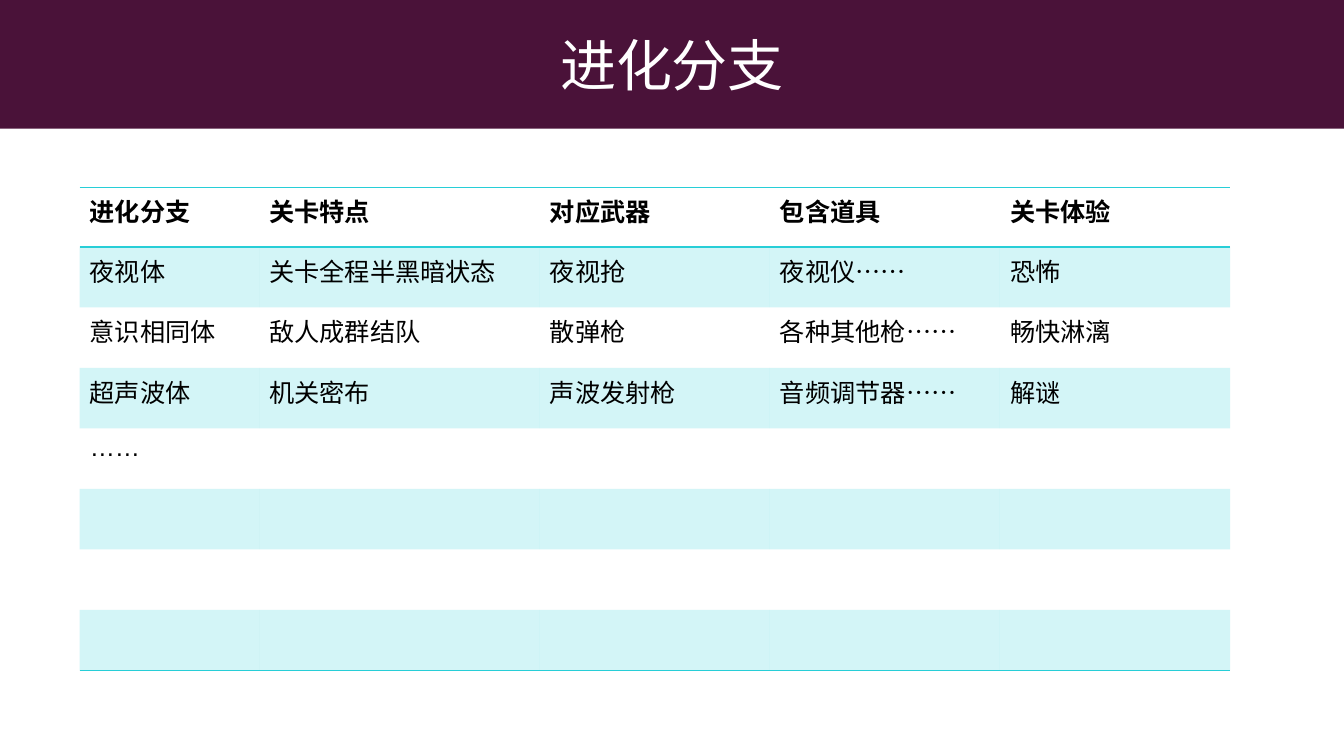
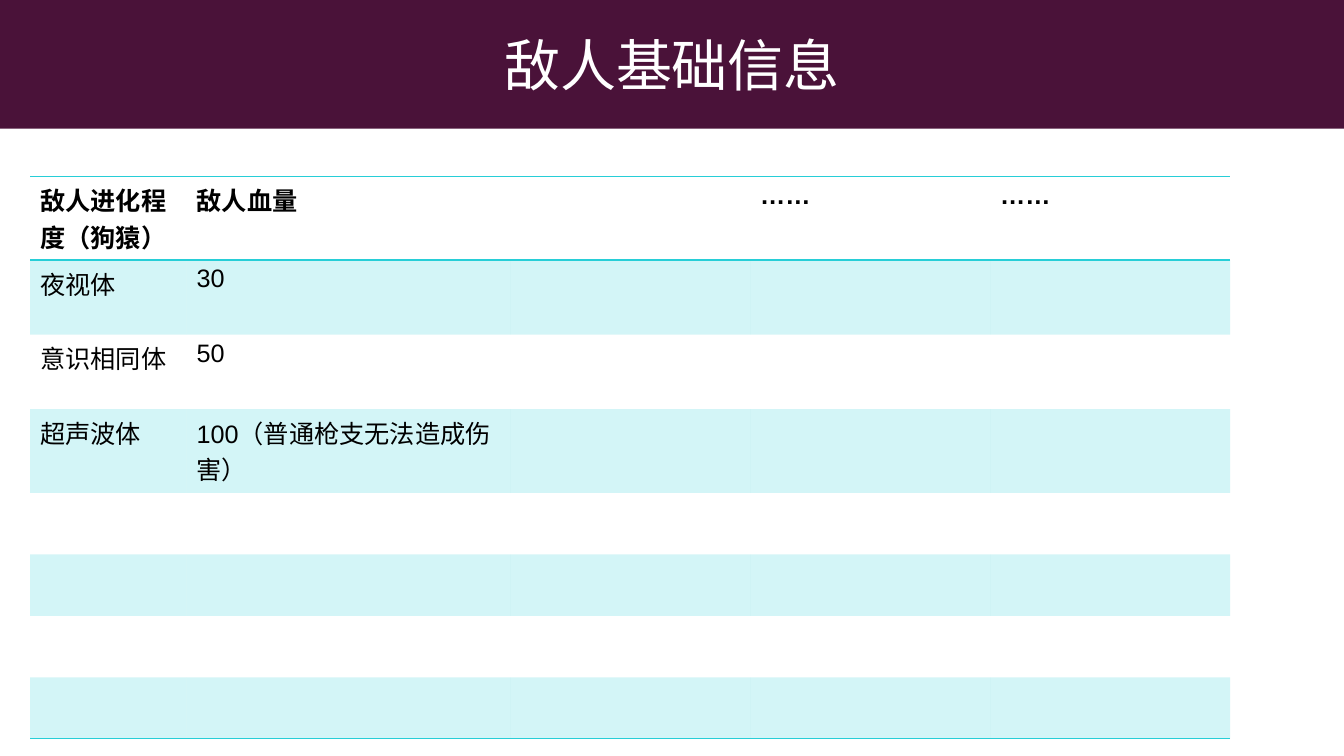
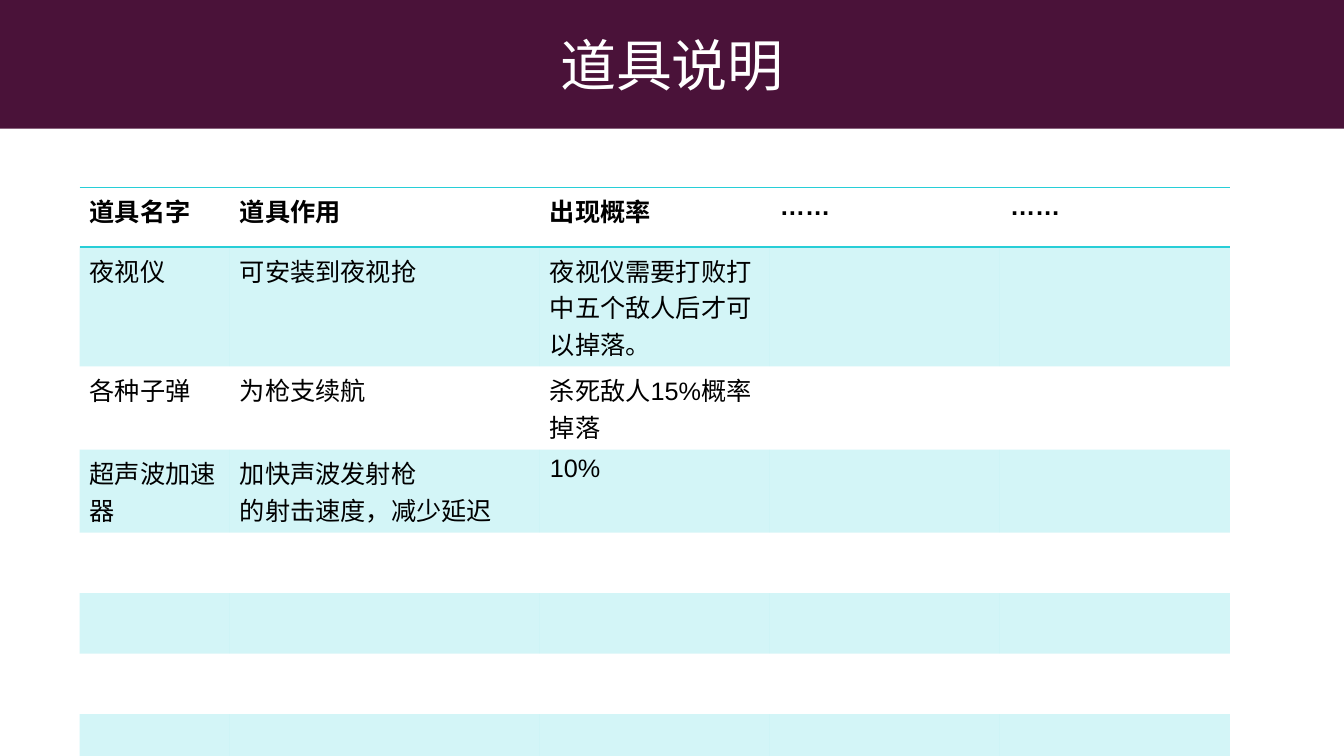
"""Builds three game design slides, each a title band above a striped table."""
from lxml import etree
from pptx import Presentation
from pptx.dml.color import RGBColor
from pptx.enum.text import MSO_ANCHOR, MSO_AUTO_SIZE, PP_ALIGN
from pptx.oxml.ns import qn
from pptx.util import Inches, Pt

CENTER = PP_ALIGN.CENTER
LEFT = PP_ALIGN.LEFT
MIDDLE = MSO_ANCHOR.MIDDLE
NO_AUTOFIT = MSO_AUTO_SIZE.NONE

COLORS = {"band": "4A1239", "accent": "27CED7", "text": "000000", "title": "FFFFFF"}
FONT = "Arial"
SLIDE_WIDTH, SLIDE_HEIGHT = 13.33, 7.5
BAND_HEIGHT = 0.17 * SLIDE_HEIGHT
TABLE_RIGHT = 12.2
COLUMN_COUNT, ROW_COUNT = 5, 8
STRIPE_OPACITY = 20
PLAIN_TABLE_STYLE = "{2D5ABB26-0587-4C30-8999-92F81FD0307C}"
TITLE_ONLY_LAYOUT = 5

TABLES = [
    {
        "title": "进化分支",
        "left": 0.79, "top": 1.86, "first_column": 1.78,
        "heights": [0.59] + [0.6] * 7,
        "rows": [
            ["进化分支", "关卡特点", "对应武器", "包含道具", "关卡体验"],
            ["夜视体", "关卡全程半黑暗状态", "夜视抢", "夜视仪……", "恐怖"],
            ["意识相同体", "敌人成群结队", "散弹枪", "各种其他枪……", "畅快淋漓"],
            ["超声波体", "机关密布", "声波发射枪", "音频调节器……", "解谜"],
            ["……"],
        ],
    },
    {
        "title": "敌人基础信息",
        "left": 0.3, "top": 1.75, "first_column": 1.55,
        "heights": [0.83, 0.74, 0.74, 0.83] + [0.61] * 4,
        "rows": [
            ["敌人进化程度（狗猿）", "敌人血量", "", "……", "……"],
            ["夜视体", "30"],
            ["意识相同体", "50"],
            ["超声波体", "100（普通枪支无法造成伤害）"],
        ],
    },
    {
        "title": "道具说明",
        "left": 0.79, "top": 1.86, "first_column": 1.49,
        "heights": [0.59] + [0.6] * 7,
        "rows": [
            ["道具名字", "道具作用", "出现概率", "……", "……"],
            ["夜视仪", "可安装到夜视抢", "夜视仪需要打败打中五个敌人后才可以掉落。"],
            ["各种子弹", "为枪支续航", "杀死敌人15%概率掉落"],
            ["超声波加速器", "加快声波发射枪\n的射击速度，减少延迟", "10%"],
        ],
    },
]


def rgb(name):
    """Return the named palette colour."""
    return RGBColor.from_string(COLORS[name])


def write_text(text_frame, text, size=18, color="text", bold=False, align=LEFT):
    """Write text, one paragraph a line, in the given format."""
    text_frame.text = text
    for paragraph in text_frame.paragraphs:
        paragraph.alignment = align
        for run in paragraph.runs:
            run.font.name = FONT
            run.font.size = Pt(size)
            run.font.bold = bold
            run.font.color.rgb = rgb(color)


def add_title(slide, text):
    """Turn the title placeholder into the full-width band."""
    title = slide.shapes.title
    title.left = title.top = 0
    title.width, title.height = Inches(SLIDE_WIDTH), Inches(BAND_HEIGHT)
    title.fill.solid()
    title.fill.fore_color.rgb = rgb("band")
    write_text(title.text_frame, text, size=40, color="title", align=CENTER)
    title.text_frame.vertical_anchor = MIDDLE
    title.text_frame.auto_size = NO_AUTOFIT


def fill_cell(cell, striped):
    """Give a cell the translucent stripe or no fill."""
    if not striped:
        cell.fill.background()
        return
    cell.fill.solid()
    cell.fill.fore_color.rgb = rgb("accent")
    color = cell._tc.tcPr.find(".//" + qn("a:srgbClr"))
    etree.SubElement(color, qn("a:alpha"), val=str(STRIPE_OPACITY * 1000))


def add_borders(cell, edges):
    """Draw accent lines on the listed cell edges, top before bottom."""
    properties = cell._tc.get_or_add_tcPr()
    for position, edge in enumerate(edges):
        line = etree.Element(qn("a:" + edge), w=str(Pt(1)))
        fill = etree.SubElement(line, qn("a:solidFill"))
        etree.SubElement(fill, qn("a:srgbClr"), val=COLORS["accent"])
        properties.insert(position, line)


def add_striped_table(slide, left, top, first_column, heights, rows):
    """Add a table whose last three columns are a fifth of its width each."""
    width = TABLE_RIGHT - left
    fifth = width / COLUMN_COUNT
    widths = [first_column, 2 * fifth - first_column] + [fifth] * 3
    table = slide.shapes.add_table(
        ROW_COUNT, COLUMN_COUNT, Inches(left), Inches(top),
        Inches(width), Inches(sum(heights))).table
    table.first_row = table.horz_banding = False
    table._tbl.tblPr.find(qn("a:tableStyleId")).text = PLAIN_TABLE_STYLE
    for column, column_width in zip(table.columns, widths):
        column.width = Inches(column_width)
    edges = {0: ["lnT", "lnB"], ROW_COUNT - 1: ["lnB"]}
    for row_index, height in enumerate(heights):
        table.rows[row_index].height = Inches(height)
        for cell in table.rows[row_index].cells:
            fill_cell(cell, striped=row_index % 2 == 1)
            add_borders(cell, edges.get(row_index, []))
    for row_index, texts in enumerate(rows):
        for column_index, text in enumerate(texts):
            cell = table.cell(row_index, column_index)
            write_text(cell.text_frame, text, bold=row_index == 0)


def main():
    """Build and save the presentation."""
    presentation = Presentation()
    presentation.slide_width = Inches(SLIDE_WIDTH)
    presentation.slide_height = Inches(SLIDE_HEIGHT)
    layout = presentation.slide_layouts[TITLE_ONLY_LAYOUT]
    for content in TABLES:
        slide = presentation.slides.add_slide(layout)
        add_title(slide, content["title"])
        add_striped_table(slide, content["left"], content["top"],
                          content["first_column"], content["heights"], content["rows"])
    presentation.save("out.pptx")


if __name__ == "__main__":
    main()
